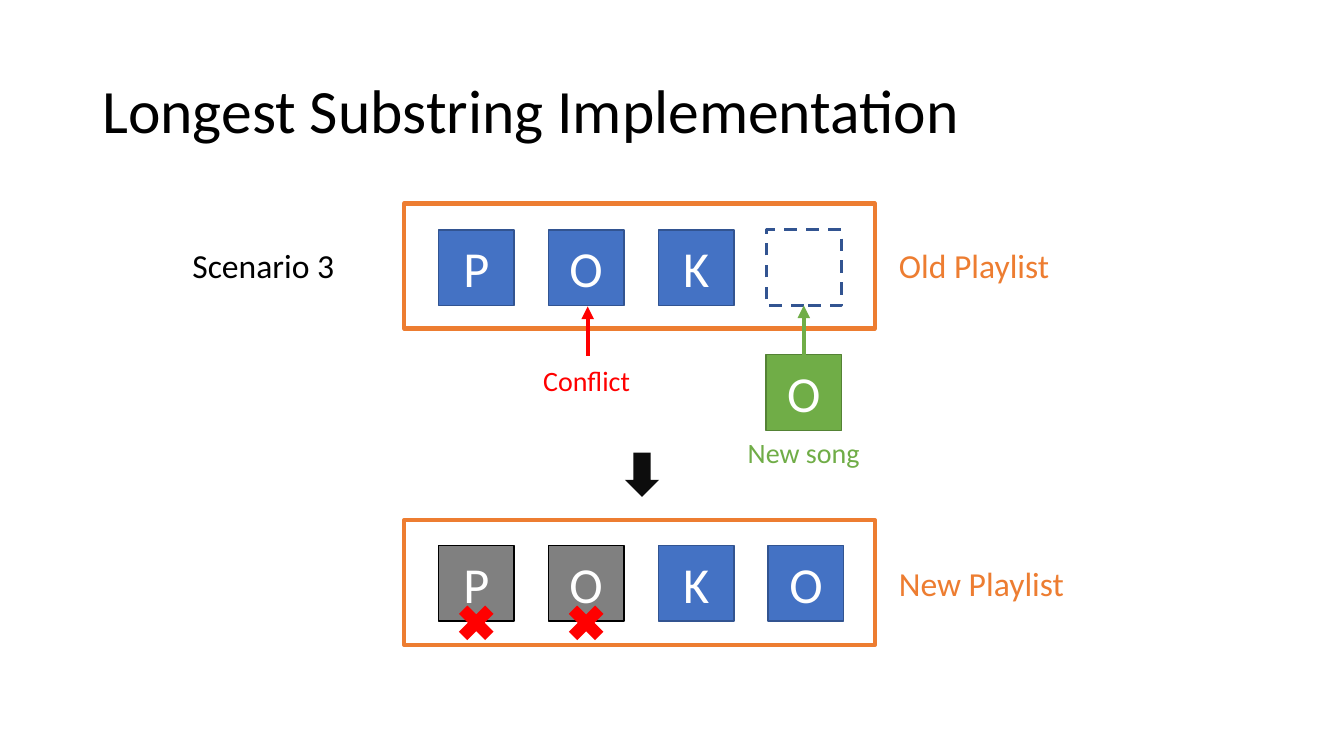
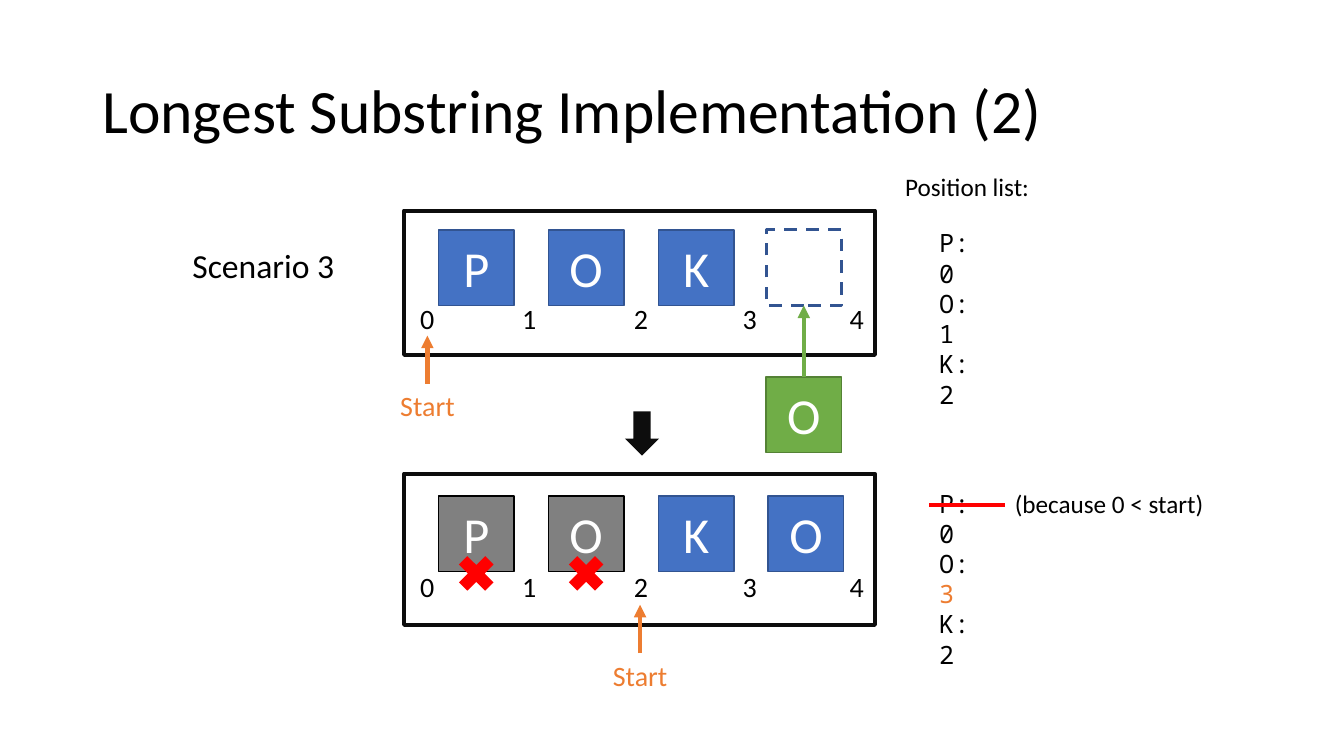
"""Two slides on how a playlist window moves in the longest substring problem."""
from lxml.etree import SubElement
from pptx import Presentation
from pptx.dml.color import RGBColor
from pptx.enum.dml import MSO_LINE
from pptx.enum.shapes import MSO_CONNECTOR, MSO_SHAPE
from pptx.enum.text import MSO_ANCHOR, PP_ALIGN
from pptx.oxml.ns import qn
from pptx.util import Pt

BLACK = RGBColor(0x00, 0x00, 0x00)
INK = RGBColor(0x0D, 0x0D, 0x0D)
WHITE = RGBColor(0xFF, 0xFF, 0xFF)
BLUE = RGBColor(0x44, 0x72, 0xC4)
NAVY = RGBColor(0x32, 0x54, 0x91)
GREEN = RGBColor(0x70, 0xAD, 0x47)
DARK_GREEN = RGBColor(0x54, 0x82, 0x35)
GRAY = RGBColor(0x80, 0x80, 0x80)
ORANGE = RGBColor(0xED, 0x7D, 0x31)
RED = RGBColor(0xFF, 0x00, 0x00)

TILE = 54
TILE_LEFT, TILE_STEP = 313.2, 78.5
SLOT_LEFT, OLD_TOP = 547.2, 164.2
SLOT_MIDDLE = SLOT_LEFT + TILE / 2
FRAME_LEFT, FRAME_WIDTH = 288.7, 336.2
INDEX_LEFTS = [293, 365.8, 445.7, 523.4, 599.8]
STARTS = [(305.3, 274.3), (457.2, 466.6)]


def add_block(slide, kind, left, top, width, height, fill=None, line=None, weight=1, letter=""):
    block = slide.shapes.add_shape(kind, Pt(left), Pt(top), Pt(width), Pt(height))
    block.shadow.inherit = False
    for paint, color in ((block.fill, fill), (block.line.fill, line)):
        if color is None:
            paint.background()
        else:
            paint.solid()
            paint.fore_color.rgb = color
    if line is not None:
        block.line.width = Pt(weight)
    if letter:
        block.text_frame.text = letter
        block.text_frame.vertical_anchor = MSO_ANCHOR.MIDDLE
        paragraph = block.text_frame.paragraphs[0]
        paragraph.alignment = PP_ALIGN.CENTER
        font = paragraph.runs[0].font
        font.name, font.size, font.color.rgb = "Calibri", Pt(36), WHITE
    return block


def add_label(slide, text, left, top, width, height, size, color=BLACK, face="Calibri", wrap=False):
    frame = slide.shapes.add_textbox(Pt(left), Pt(top), Pt(width), Pt(height)).text_frame
    frame.word_wrap = wrap
    frame.text = text
    for paragraph in frame.paragraphs:
        font = paragraph.runs[0].font
        font.name, font.size, font.color.rgb = face, Pt(size), color
    return frame


scenes = [
    {
        "title": "Longest Substring Implementation",
        "frame_color": ORANGE,
        "frames": [(145.4, 89.3), (371.5, 89.3)],
        "new_top": 389.5,
        "song_top": 253.4,
        "down_top": 323.3,
        "labels": [
            ("Old Playlist", 635, 171.4, 123.1, 36, 24, ORANGE),
            ("New Playlist", 635, 398.2, 133.2, 36, 24, ORANGE),
            ("New song", 527, 307.4, 95, 31.7, 20, GREEN),
            ("Conflict", 380.9, 256.3, 77, 31.7, 20, RED),
        ],
        "arrows": [(419.8, 254.2, 218.9, RED)],
    },
    {
        "title": "Longest Substring Implementation (2)",
        "frame_color": INK,
        "frames": [(150.5, 103), (338.4, 108)],
        "new_top": 354.2,
        "song_top": 269.3,
        "down_top": 293.8,
        "labels": [("Start", x - 27, y, 54, 31.7, 20, ORANGE) for x, y in STARTS]
        + [
            (str(index), left, top, 24.5, 31.7, 20)
            for top in (211.7, 403.2)
            for index, left in enumerate(INDEX_LEFTS)
        ]
        + [
            ("Position list:", 639.4, 118.8, 104.4, 28.8, 18),
            ("(because 0 < start)", 717.8, 345.6, 151.2, 28.8, 18),
        ],
        "arrows": [(x, y, y - 34.6, ORANGE) for x, y in STARTS],
    },
]

deck = Presentation()
deck.slide_width, deck.slide_height = Pt(960), Pt(540)

for scene in scenes:
    slide = deck.slides.add_slide(deck.slide_layouts[6])
    title = add_label(slide, scene["title"], 66, 28.8, 828, 104.4, 44, wrap=True)
    title.vertical_anchor = MSO_ANCHOR.MIDDLE
    title.paragraphs[0].line_spacing = 0.9
    add_label(slide, "Scenario 3", 130.3, 171.4, 116.6, 36, 24)

    for top, height in scene["frames"]:
        add_block(slide, MSO_SHAPE.RECTANGLE, FRAME_LEFT, top, FRAME_WIDTH, height,
                  line=scene["frame_color"], weight=3)

    for letters, top, dropped in (("POK", OLD_TOP, 0), ("POKO", scene["new_top"], 2)):
        for position, letter in enumerate(letters):
            left = TILE_LEFT + position * TILE_STEP
            fill, line = (GRAY, BLACK) if position < dropped else (BLUE, NAVY)
            add_block(slide, MSO_SHAPE.RECTANGLE, left, top, TILE, TILE, fill, line, letter=letter)
            if position < dropped:
                add_block(slide, MSO_SHAPE.MATH_MULTIPLY, left + 9, top + 37.4, 36, 36, RED)

    slot = add_block(slide, MSO_SHAPE.RECTANGLE, SLOT_LEFT, OLD_TOP, TILE, TILE,
                     line=NAVY, weight=2.25)
    slot.line.dash_style = MSO_LINE.DASH
    add_block(slide, MSO_SHAPE.RECTANGLE, SLOT_LEFT, scene["song_top"], TILE, TILE,
              GREEN, DARK_GREEN, letter="O")
    add_block(slide, MSO_SHAPE.DOWN_ARROW, 446.4, scene["down_top"], 24.5, 31.7, INK)

    for label in scene["labels"]:
        label_frame = add_label(slide, *label)
        if label[0] == "Start":
            label_frame.paragraphs[0].alignment = PP_ALIGN.CENTER

    song_arrow = (SLOT_MIDDLE, scene["song_top"], OLD_TOP + TILE, GREEN)
    for x, tail, tip, color in [song_arrow] + scene["arrows"]:
        arrow = slide.shapes.add_connector(MSO_CONNECTOR.STRAIGHT, Pt(x), Pt(tail), Pt(x), Pt(tip))
        arrow.line.color.rgb, arrow.line.width = color, Pt(3)
        SubElement(arrow.line._get_or_add_ln(), qn("a:tailEnd"), type="triangle")
        SubElement(arrow._element.spPr, qn("a:effectLst"))

old_positions, new_positions = [
    add_label(slide, positions, 663.8, top, 54.7, 72.7, 18, face="Noto Sans Mono", wrap=True)
    for positions, top in (("P: 0\nO: 1\nK: 2", 159.1), ("P: 0\nO: \nK: 2", 344.9))
]
moved = new_positions.paragraphs[1].add_run()
moved.text = "3"
moved.font.name, moved.font.size, moved.font.color.rgb = "Noto Sans Mono", Pt(18), ORANGE

strike = slide.shapes.add_connector(MSO_CONNECTOR.STRAIGHT, Pt(663.8), Pt(360.7), Pt(717.8), Pt(360.7))
strike.line.color.rgb, strike.line.width = RED, Pt(2.25)
SubElement(strike._element.spPr, qn("a:effectLst"))

deck.save("out.pptx")
